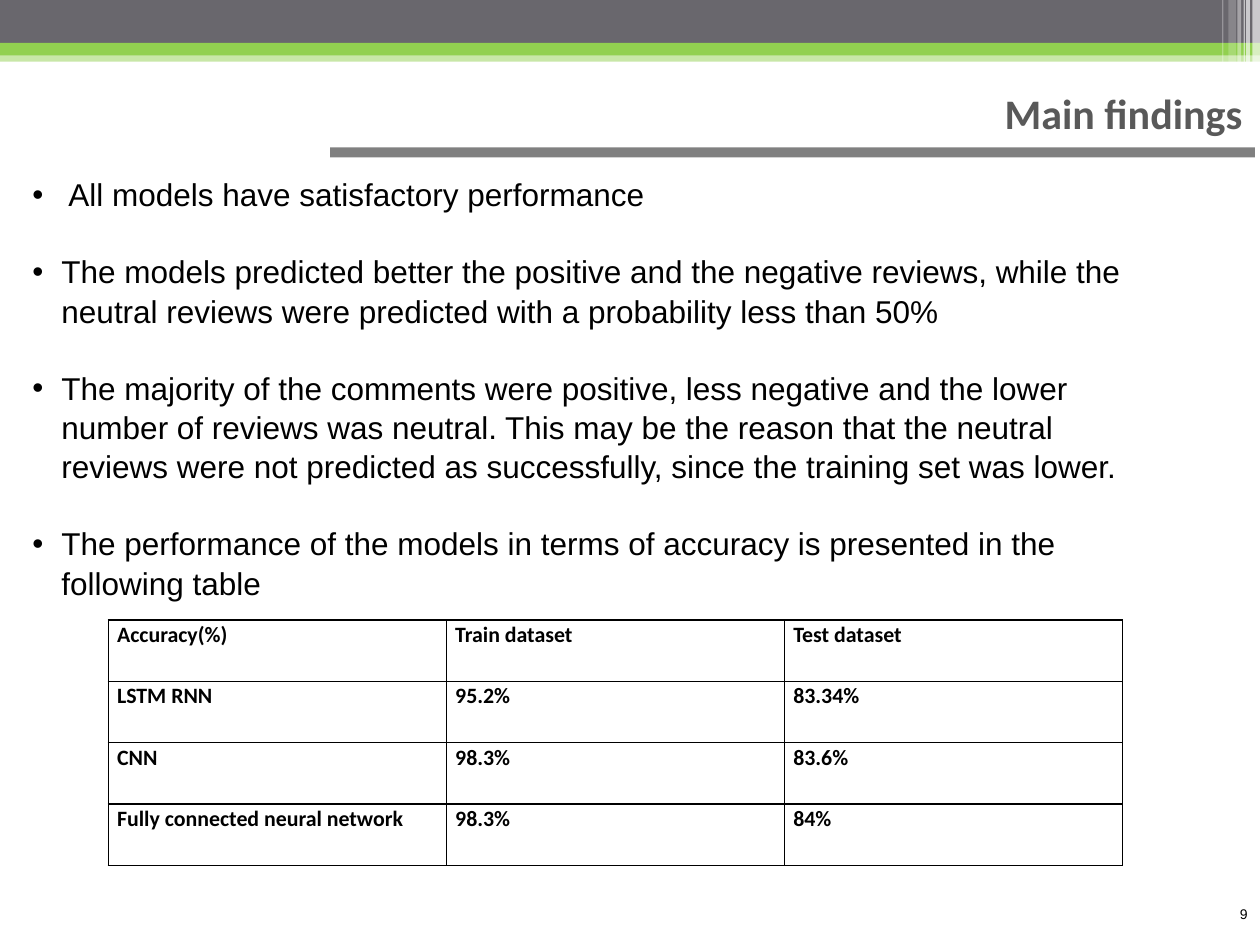
from lxml import etree
from pptx import Presentation
from pptx.dml.color import RGBColor
from pptx.enum.shapes import MSO_SHAPE
from pptx.enum.text import MSO_ANCHOR, MSO_AUTO_SIZE, PP_ALIGN
from pptx.oxml.ns import qn
from pptx.util import Inches, Pt

RECTANGLE = MSO_SHAPE.RECTANGLE
LEFT, RIGHT, JUSTIFY = PP_ALIGN.LEFT, PP_ALIGN.RIGHT, PP_ALIGN.JUSTIFY

BLACK = RGBColor(0x00, 0x00, 0x00)
WHITE = RGBColor(0xFF, 0xFF, 0xFF)
SLATE = RGBColor(0x69, 0x67, 0x6D)
GREEN = RGBColor(0x92, 0xD0, 0x50)
GRAY = RGBColor(0x80, 0x80, 0x80)
TITLE_GRAY = RGBColor(0x59, 0x59, 0x59)

presentation = Presentation()
presentation.slide_width = Inches(10)
presentation.slide_height = Inches(7.5)
slide = presentation.slides.add_slide(presentation.slide_layouts[5])

# The slide is a grid of 100 columns by 75 rows
COLUMN = presentation.slide_width / 100
ROW = presentation.slide_height / 75


def area(left, top, width, height):
    """Turn grid columns and rows into a position and size."""
    return [round(n * unit) for n, unit in
            zip((left, top, width, height), (COLUMN, ROW, COLUMN, ROW))]


def write(frame, *texts, size, font="Arial", color=BLACK, bold=False,
          align=LEFT, line_spacing=1.0, gap=0, bullet=False):
    """Write one paragraph for each text, with the given gap between them."""
    frame.word_wrap = True
    for index, text in enumerate(texts):
        paragraph = frame.paragraphs[0] if index == 0 else frame.add_paragraph()
        paragraph.text = text
        paragraph.alignment = align
        paragraph.line_spacing = line_spacing
        paragraph.space_before = Pt(gap if index else 0)
        if bullet:
            properties = paragraph._p.get_or_add_pPr()
            properties.set("marL", str(Inches(0.23)))
            properties.set("indent", str(-Inches(0.23)))
            etree.SubElement(properties, qn("a:buFont")).set("typeface", "Arial")
            etree.SubElement(properties, qn("a:buChar")).set("char", "•")
        for run in paragraph.runs:
            run.font.name = font
            run.font.size = Pt(size)
            run.font.bold = bold
            run.font.color.rgb = color


# Header bands, light stripes at the right end, and the rule under the title
bars = [
    (0, 4, 100, 0.9, GREEN, 50),
    (0, 0, 100, 3.4, SLATE, 100),
    (0, 3.4, 100, 1, GREEN, 100),
    (99.4, 0, 0.6, 6.8, WHITE, 65),
    (98.9, 0, 0.3, 6.8, WHITE, 65),
    (98.7, 0, 0.1, 6.8, WHITE, 60),
    (98.2, 0, 0.3, 6.8, WHITE, 40),
    (97.5, 0, 0.6, 6.4, WHITE, 20),
    (97, 0, 0.1, 6.4, WHITE, 30),
    (26.2, 11.7, 73.4, 0.8, GRAY, 100),
]
for left, top, width, height, color, opacity in bars:
    shape = slide.shapes.add_shape(RECTANGLE, *area(left, top, width, height))
    shape.shadow.inherit = False
    shape.line.fill.background()
    shape.fill.solid()
    shape.fill.fore_color.rgb = color
    if opacity < 100:
        color_element = shape._element.spPr.find(".//" + qn("a:srgbClr"))
        etree.SubElement(color_element, qn("a:alpha")).set("val", str(opacity * 1000))

# Title
title = slide.shapes.title
title.left, title.top, title.width, title.height = area(1.2, 6, 98.4, 5.5)
title.text_frame.vertical_anchor = MSO_ANCHOR.BOTTOM
title.text_frame.auto_size = MSO_AUTO_SIZE.NONE
write(title.text_frame, "Main findings", size=24, font="Calibri",
      color=TITLE_GRAY, bold=True, align=RIGHT, line_spacing=0.9)

# Findings
findings = slide.shapes.add_textbox(*area(1.6, 13.3, 90.6, 37.4))
write(
    findings.text_frame,
    " All models have satisfactory performance",
    "The models predicted better the positive and the negative reviews, while the "
    "neutral reviews were predicted with a probability less than 50%",
    "The majority of the comments were positive, less negative and the lower number "
    "of reviews was neutral. This may be the reason that the neutral reviews were not "
    "predicted as successfully, since the training set was lower.",
    "The performance of the models in terms of accuracy is presented in the "
    "following table",
    size=18, line_spacing=1.04, gap=21.6, bullet=True)

# Accuracy table
accuracy = [
    ("Accuracy(%)", "Train dataset", "Test dataset"),
    ("LSTM RNN", "95.2%", "83.34%"),
    ("CNN", "98.3%", "83.6%"),
    ("Fully connected neural network", "98.3%", "84%"),
]
table = slide.shapes.add_table(len(accuracy), len(accuracy[0]),
                               *area(8.6, 49.2, 80.5, 19.5)).table
table.first_row = False
table.horz_banding = False
for row_index, values in enumerate(accuracy):
    for column_index, value in enumerate(values):
        cell = table.cell(row_index, column_index)
        cell.margin_left = cell.margin_right = Inches(0.07)
        cell.margin_top = cell.margin_bottom = 0
        write(cell.text_frame, value, size=12.5, font="Calibri", bold=True,
              align=JUSTIFY, line_spacing=1.07)
        cell_properties = cell._tc.get_or_add_tcPr()
        for side in ("a:lnL", "a:lnR", "a:lnT", "a:lnB"):
            border = etree.SubElement(cell_properties, qn(side), w=str(Pt(1)))
            fill = etree.SubElement(border, qn("a:solidFill"))
            etree.SubElement(fill, qn("a:srgbClr"), val=str(BLACK))
        cell.fill.background()

# Slide number
number = slide.shapes.add_textbox(*area(51.7, 71.4, 48.3, 3.3))
write(number.text_frame, "9", size=8, align=RIGHT)

presentation.save("out.pptx")
